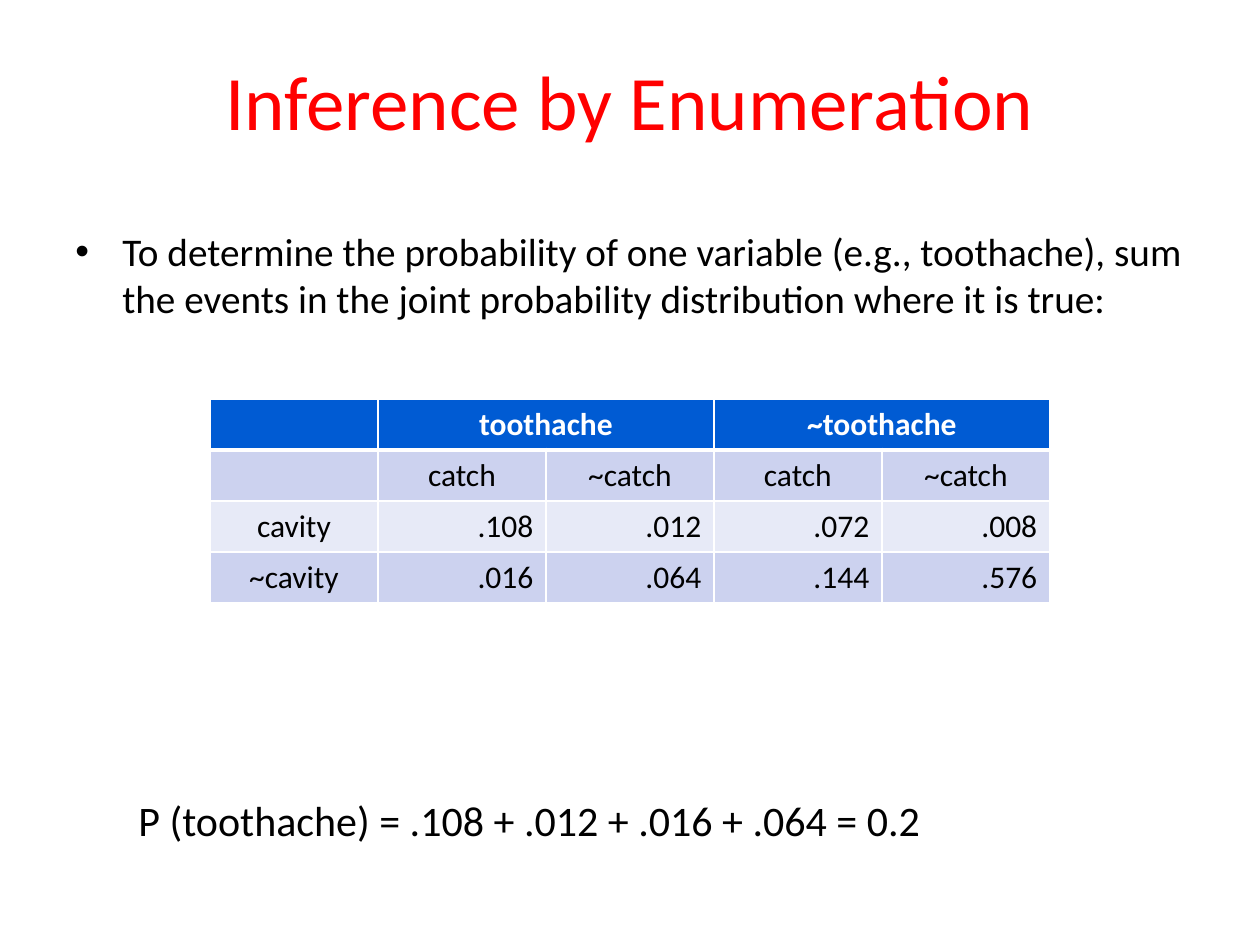
"""Build the Inference by Enumeration slide with its joint probability table."""
from lxml.etree import SubElement
from pptx import Presentation
from pptx.dml.color import RGBColor
from pptx.enum.text import MSO_ANCHOR, PP_ALIGN
from pptx.oxml.ns import qn
from pptx.util import Pt

TITLE = "Inference by Enumeration"
POINT = ("To determine the probability of one variable (e.g., toothache), sum "
         "the events in the joint probability distribution where it is true:")
SUM = "P (toothache) = .108 + .012 + .016 + .064 = 0.2"
ROWS = [
    ["", "toothache", "", "~toothache", ""],
    ["", "catch", "~catch", "catch", "~catch"],
    ["cavity", ".108", ".012", ".072", ".008"],
    ["~cavity", ".016", ".064", ".144", ".576"],
]
HUES = {"title": "FF0000", "text": "000000", "white": "FFFFFF",
        "head": "005BD3", "dark": "CCD2EF", "light": "E7EAF7"}
BANDS = ["head", "dark", "light", "dark"]
FONT = "Calibri"
COL, ROW = 168, 51


def px(num):
    return round(num * 914400 / 126)


def color(name):
    return RGBColor.from_string(HUES[name])


def write(para, text, size, hue, align=PP_ALIGN.LEFT, bold=False):
    para.alignment = align
    run = para.add_run()
    run.text = text
    font = run.font
    font.name, font.size, font.bold = FONT, Pt(size), bold
    font.color.rgb = color(hue)


def add_box(slide, area, wrap=True, anchor=MSO_ANCHOR.TOP):
    frame = slide.shapes.add_textbox(*map(px, area)).text_frame
    frame.word_wrap = wrap
    frame.vertical_anchor = anchor
    return frame.paragraphs[0]


def add_bullet(para, indent):
    props = para._p.get_or_add_pPr()
    props.set("marL", str(px(indent)))
    props.set("indent", str(px(-indent)))
    SubElement(props, qn("a:buFont"), typeface="Arial")
    SubElement(props, qn("a:buChar"), char="•")


def add_edges(cell, row):
    props = cell._tc.get_or_add_tcPr()
    wide = {"T": 3 if row == 1 else 1, "B": 3 if row == 0 else 1}
    for side in "LRTB":
        line = SubElement(props, qn(f"a:ln{side}"), w=str(Pt(wide.get(side, 1))))
        fill = SubElement(line, qn("a:solidFill"))
        SubElement(fill, qn("a:srgbClr"), val=HUES["white"])


def add_grid(slide, left, top):
    rows, cols = len(ROWS), len(ROWS[0])
    area = (left, top, cols * COL, rows * ROW)
    grid = slide.shapes.add_table(rows, cols, *map(px, area)).table
    for r, words in enumerate(ROWS):
        for c, word in enumerate(words):
            cell = grid.cell(r, c)
            add_edges(cell, r)
            cell.fill.solid()
            cell.fill.fore_color.rgb = color(BANDS[r])
            if word:
                align = PP_ALIGN.RIGHT if word[0] == "." else PP_ALIGN.CENTER
                hue = "text" if r else "white"
                write(cell.text_frame.paragraphs[0], word, 18, hue, align, r == 0)
    for c in (1, 3):
        grid.cell(0, c).merge(grid.cell(0, c + 1))


def main():
    deck = Presentation()
    deck.slide_width, deck.slide_height = px(1260), px(945)
    slide = deck.slides.add_slide(deck.slide_layouts[6])
    title = add_box(slide, (63, 21, 1134, 158), anchor=MSO_ANCHOR.MIDDLE)
    write(title, TITLE, 44, "title", PP_ALIGN.CENTER)
    point = add_box(slide, (63, 221, 1134, 136))
    add_bullet(point, 47)
    write(point, POINT, 22.4, "text")
    write(add_box(slide, (126, 788, 823, 63), wrap=False), SUM, 24, "text")
    add_grid(slide, 210, 399)
    deck.save("out.pptx")


if __name__ == "__main__":
    main()
